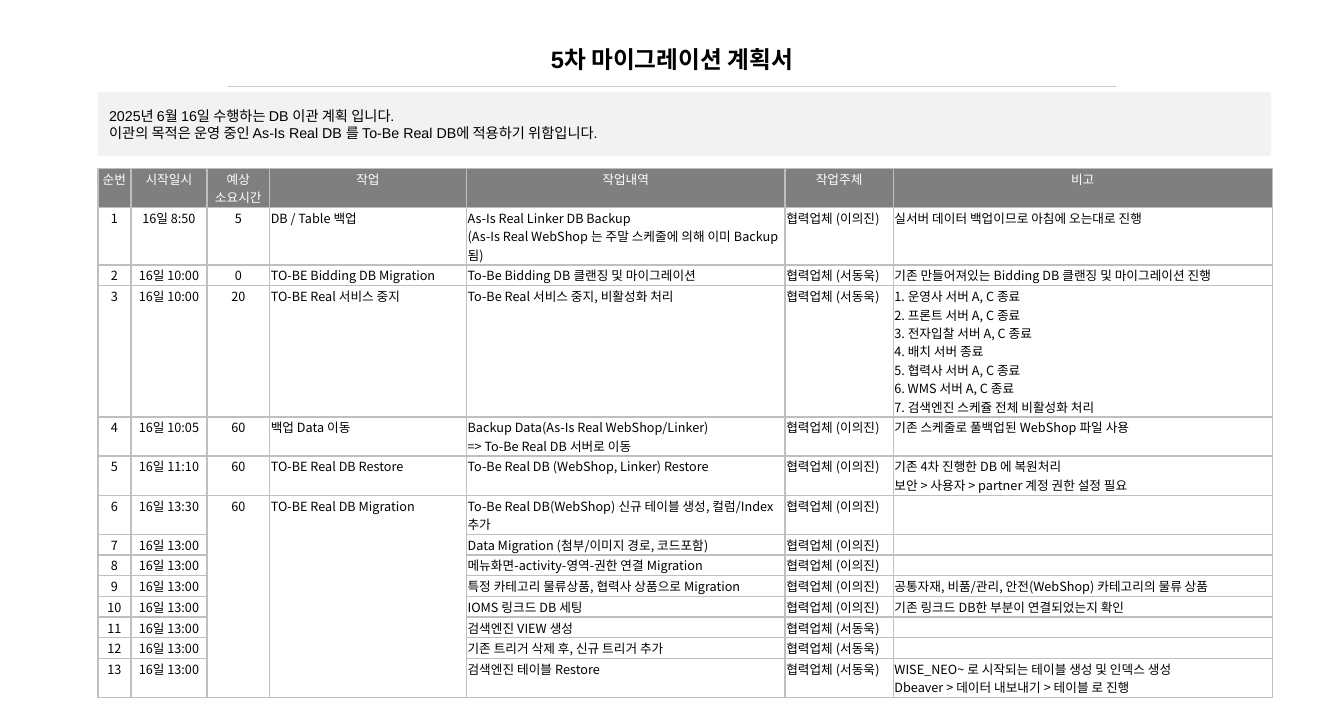
from lxml import etree
from pptx import Presentation
from pptx.dml.color import RGBColor
from pptx.enum.shapes import MSO_SHAPE
from pptx.enum.text import MSO_ANCHOR, PP_ALIGN
from pptx.oxml.ns import qn
from pptx.util import Inches, Pt

RECT = MSO_SHAPE.RECTANGLE
MIDDLE = MSO_ANCHOR.MIDDLE
LEFT, CENTER = PP_ALIGN.LEFT, PP_ALIGN.CENTER
SANS, KOREAN = "Arial", "Noto Sans CJK KR"
color = RGBColor.from_string


def write(para, text, size, font, tone, align=LEFT, bold=False):
    para.alignment = align
    for i, line in enumerate(text.split("\n")):
        if i:
            para.add_line_break()
        run = para.add_run()
        run.text = line
        run.font.size = Pt(size)
        run.font.name = font
        run.font.bold = bold
        run.font.color.rgb = color(tone)
        east = etree.SubElement(run._r.get_or_add_rPr(), qn("a:ea"))
        east.set("typeface", KOREAN)


def style(cell, inset, sides, tone, width):
    cell.margin_left = cell.margin_right = Inches(inset)
    cell.margin_top = cell.margin_bottom = Inches(inset)
    for side in sides:
        line = etree.SubElement(cell._tc.get_or_add_tcPr(), qn("a:ln" + side))
        line.set("w", str(Pt(width)))
        fill = etree.SubElement(line, qn("a:solidFill"))
        etree.SubElement(fill, qn("a:srgbClr")).set("val", tone)


deck = Presentation()
deck.slide_width = Inches(11.81)
deck.slide_height = Inches(6.3)
slide = deck.slides.add_slide(deck.slide_layouts[6])
shapes = slide.shapes

# Title with a rule below
head = shapes.add_table(1, 1, Inches(2), Inches(0.26), Inches(7.81), Inches(0.35)).table
head.first_row = head.horz_banding = False
title = head.cell(0, 0)
style(title, 0.1, "B", "CCCCCC", 0.75)
title.fill.background()
title.vertical_anchor = MIDDLE
write(title.text_frame.paragraphs[0], "5차 마이그레이션 계획서", 15, SANS, "000000", CENTER, True)

# Purpose box
box = shapes.add_shape(RECT, Inches(0.86), Inches(0.81), Inches(10.31), Inches(0.56))
box.shadow.inherit = False
box.fill.solid()
box.fill.fore_color.rgb = color("F2F2F2")
box.line.fill.background()
frame = box.text_frame
frame.word_wrap = True
frame.vertical_anchor = MIDDLE
write(frame.paragraphs[0], "2025년 6월 16일 수행하는 DB 이관 계획 입니다.", 9, SANS, "000000")
write(frame.add_paragraph(), "이관의 목적은 운영 중인 As-Is Real DB 를 To-Be Real DB에 적용하기 위함입니다.",
      9, SANS, "000000")

# Plan: start, minutes, task, detail, owner, note
LEE, SEO = "협력업체 (이의진)", "협력업체 (서동욱)"
heads = ["순번", "시작일시", "예상 소요시간", "작업", "작업내역", "작업주체", "비고"]
steps = [
    ("8:50", "5", "DB / Table 백업",
     "As-Is Real Linker DB Backup\n(As-Is Real WebShop 는 주말 스케줄에 의해 이미 Backup 됨)",
     LEE, "실서버 데이터 백업이므로 아침에 오는대로 진행"),
    ("10:00", "0", "TO-BE Bidding DB Migration", "To-Be Bidding DB 클랜징 및 마이그레이션",
     SEO, "기존 만들어져있는 Bidding DB 클랜징 및 마이그레이션 진행"),
    ("10:00", "20", "TO-BE Real 서비스 중지", "To-Be Real 서비스 중지, 비활성화 처리", SEO,
     "1. 운영사 서버 A, C 종료\n2. 프론트 서버 A, C 종료\n3. 전자입찰 서버 A, C 종료\n"
     "4. 배치 서버 종료\n5. 협력사 서버 A, C 종료\n6. WMS 서버 A, C 종료\n"
     "7. 검색엔진 스케쥴 전체 비활성화 처리"),
    ("10:05", "60", "백업 Data 이동",
     "Backup Data(As-Is Real WebShop/Linker)\n=> To-Be Real DB 서버로 이동",
     LEE, "기존 스케줄로 풀백업된 WebShop 파일 사용"),
    ("11:10", "60", "TO-BE Real DB Restore", "To-Be Real DB (WebShop, Linker) Restore", LEE,
     "기존 4차 진행한 DB 에 복원처리\n보안 > 사용자 > partner 계정 권한 설정 필요"),
    ("13:30", "60", "TO-BE Real DB Migration",
     "To-Be Real DB(WebShop) 신규 테이블 생성, 컬럼/Index 추가", LEE, ""),
    ("13:00", "", "", "Data Migration (첨부/이미지 경로, 코드포함)", LEE, ""),
    ("13:00", "", "", "메뉴화면-activity-영역-권한 연결 Migration", LEE, ""),
    ("13:00", "", "", "특정 카테고리 물류상품, 협력사 상품으로 Migration", LEE,
     "공통자재, 비품/관리, 안전(WebShop) 카테고리의 물류 상품"),
    ("13:00", "", "", "IOMS 링크드 DB 세팅", LEE, "기존 링크드 DB한 부분이 연결되었는지 확인"),
    ("13:00", "", "", "검색엔진 VIEW 생성", SEO, ""),
    ("13:00", "", "", "기존 트리거 삭제 후, 신규 트리거 추가", SEO, ""),
    ("13:00", "", "", "검색엔진 테이블 Restore", SEO,
     "WISE_NEO~ 로 시작되는 테이블 생성 및 인덱스 생성\nDbeaver > 데이터 내보내기 > 테이블 로 진행"),
]
rows = [heads] + [[str(n), "16일 " + start, *rest] for n, (start, *rest) in enumerate(steps, 1)]
widths = [0.29, 0.67, 0.55, 1.73, 2.8, 0.95, 3.33]
heights = [0.32, 0.47, 0.17, 1.08] + [0.32] * 3 + [0.18, 0.18, 0.17, 0.17, 0.18, 0.18, 0.32]

plan = shapes.add_table(len(rows), len(widths), Inches(0.86), Inches(1.48),
                        Inches(10.31), Inches(4.39)).table
plan.horz_banding = False
for col, width in zip(plan.columns, widths):
    col.width = Inches(width)
for row, height in zip(plan.rows, heights):
    row.height = Inches(height)

for r, row in enumerate(rows):
    for c, text in enumerate(row):
        cell = plan.cell(r, c)
        style(cell, 0.01, "LRTB", "BFBFBF", 1)
        cell.fill.solid()
        cell.fill.fore_color.rgb = color("FFFFFF" if r else "7F7F7F")
        para = cell.text_frame.paragraphs[0]
        if text:
            write(para, text, 8, KOREAN, "000000" if r else "FFFFFF",
                  CENTER if r == 0 or c < 3 else LEFT)
        else:
            # Small end mark keeps empty rows low
            etree.SubElement(para._p, qn("a:endParaRPr")).set("sz", "800")

# The last steps share one duration and one task
for c in (2, 3):
    plan.cell(6, c).merge(plan.cell(13, c))

deck.save("out.pptx")
